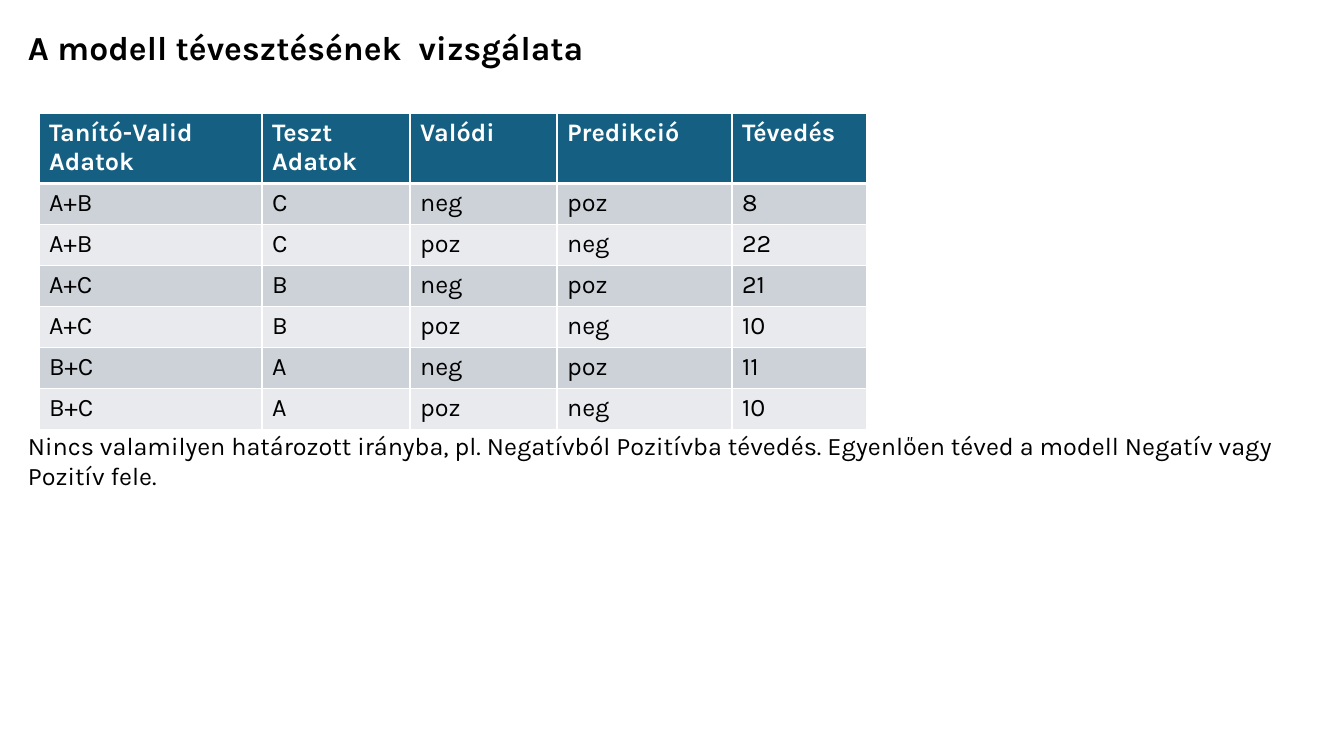
"""Build a slide with a table of the model's errors."""
import lxml.etree
import pptx
import pptx.dml.color
import pptx.oxml.ns
import pptx.util

TITLE = "A modell tévesztésének  vizsgálata"
NOTE = ("Nincs valamilyen határozott irányba, pl. Negatívból Pozitívba tévedés. "
        "Egyenlően téved a modell Negatív vagy Pozitív fele.")
ROWS = [
    ("Tanító-Valid Adatok", "Teszt Adatok", "Valódi", "Predikció", "Tévedés"),
    ("A+B", "C", "neg", "poz", "8"),
    ("A+B", "C", "poz", "neg", "22"),
    ("A+C", "B", "neg", "poz", "21"),
    ("A+C", "B", "poz", "neg", "10"),
    ("B+C", "A", "neg", "poz", "11"),
    ("B+C", "A", "poz", "neg", "10"),
]
THEME = {
    "font": "Karla", "title": 24, "body": 18,
    "ink": "000000", "light": "FFFFFF",
    "head": "156082", "bands": ("CCD2D8", "E8EAED"),
    "thin": 1, "thick": 3,
}
PAGE = (1344, 756)
BOX = (18, 22, 1272, 631)
GAP = 363
LEFT, TOP = 39, 113
WIDTHS = (223, 148, 147, 175, 135)
HEAD, ROW = 69, 41


def px(n):
    return pptx.util.Emu(round(n * 914400 / 100.8))


def rgb(code):
    return pptx.dml.color.RGBColor.from_string(code)


def style(para, size, color, bold):
    for run in para.runs:
        font = run.font
        font.name = THEME["font"]
        font.size = pptx.util.Pt(size)
        font.color.rgb = rgb(color)
        font.bold = bold


def edge(cell, top, base):
    name = pptx.oxml.ns.qn
    props = cell._tc.get_or_add_tcPr()
    sides = (("L", THEME["thin"]), ("R", THEME["thin"]), ("T", top), ("B", base))
    for i, (side, width) in enumerate(sides):
        line = lxml.etree.Element(name("a:ln" + side), w=str(pptx.util.Pt(width)))
        fill = lxml.etree.SubElement(line, name("a:solidFill"))
        lxml.etree.SubElement(fill, name("a:srgbClr"), val=THEME["light"])
        props.insert(i, line)


def add_text(slide):
    frame = slide.shapes.add_textbox(*map(px, BOX)).text_frame
    frame.word_wrap = True
    frame.text = TITLE
    style(frame.paragraphs[0], THEME["title"], THEME["ink"], True)
    note = frame.add_paragraph()
    note.text = NOTE
    note.space_before = px(GAP)
    style(note, THEME["body"], THEME["ink"], False)


def add_grid(slide):
    high = HEAD + ROW * (len(ROWS) - 1)
    size = map(px, (LEFT, TOP, sum(WIDTHS), high))
    table = slide.shapes.add_table(len(ROWS), len(WIDTHS), *size).table
    for col, width in zip(table.columns, WIDTHS):
        col.width = px(width)
    for i, row in enumerate(ROWS):
        head = i == 0
        table.rows[i].height = px(HEAD if head else ROW)
        fill = THEME["head"] if head else THEME["bands"][(i - 1) % 2]
        ink = THEME["light"] if head else THEME["ink"]
        top = THEME["thick" if i == 1 else "thin"]
        base = THEME["thick" if head else "thin"]
        for j, text in enumerate(row):
            cell = table.cell(i, j)
            cell.fill.solid()
            cell.fill.fore_color.rgb = rgb(fill)
            edge(cell, top, base)
            cell.text_frame.text = text
            style(cell.text_frame.paragraphs[0], THEME["body"], ink, head)


def main():
    deck = pptx.Presentation()
    deck.slide_width, deck.slide_height = map(px, PAGE)
    slide = deck.slides.add_slide(deck.slide_layouts[6])
    add_text(slide)
    add_grid(slide)
    deck.save("out.pptx")


if __name__ == "__main__":
    main()
